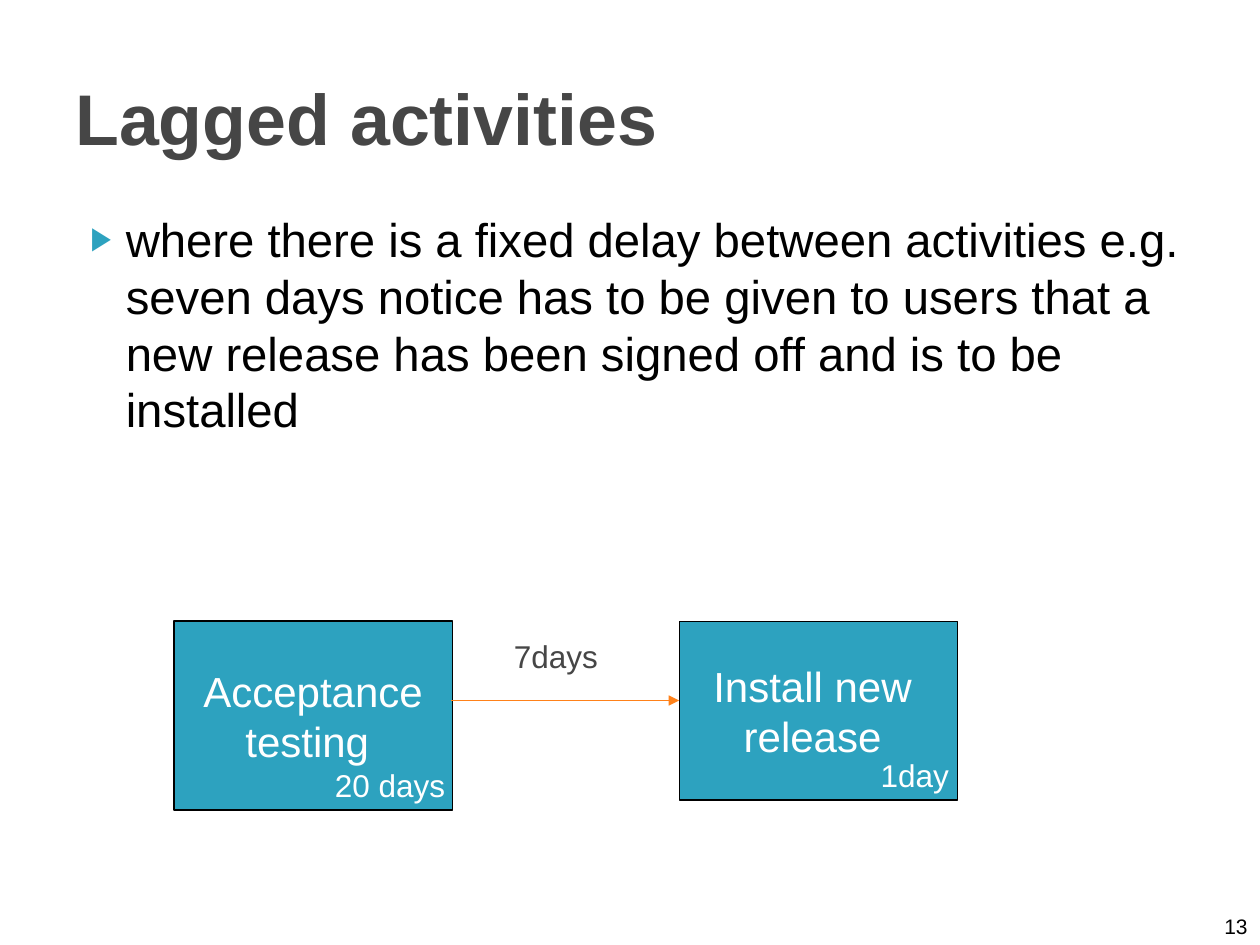
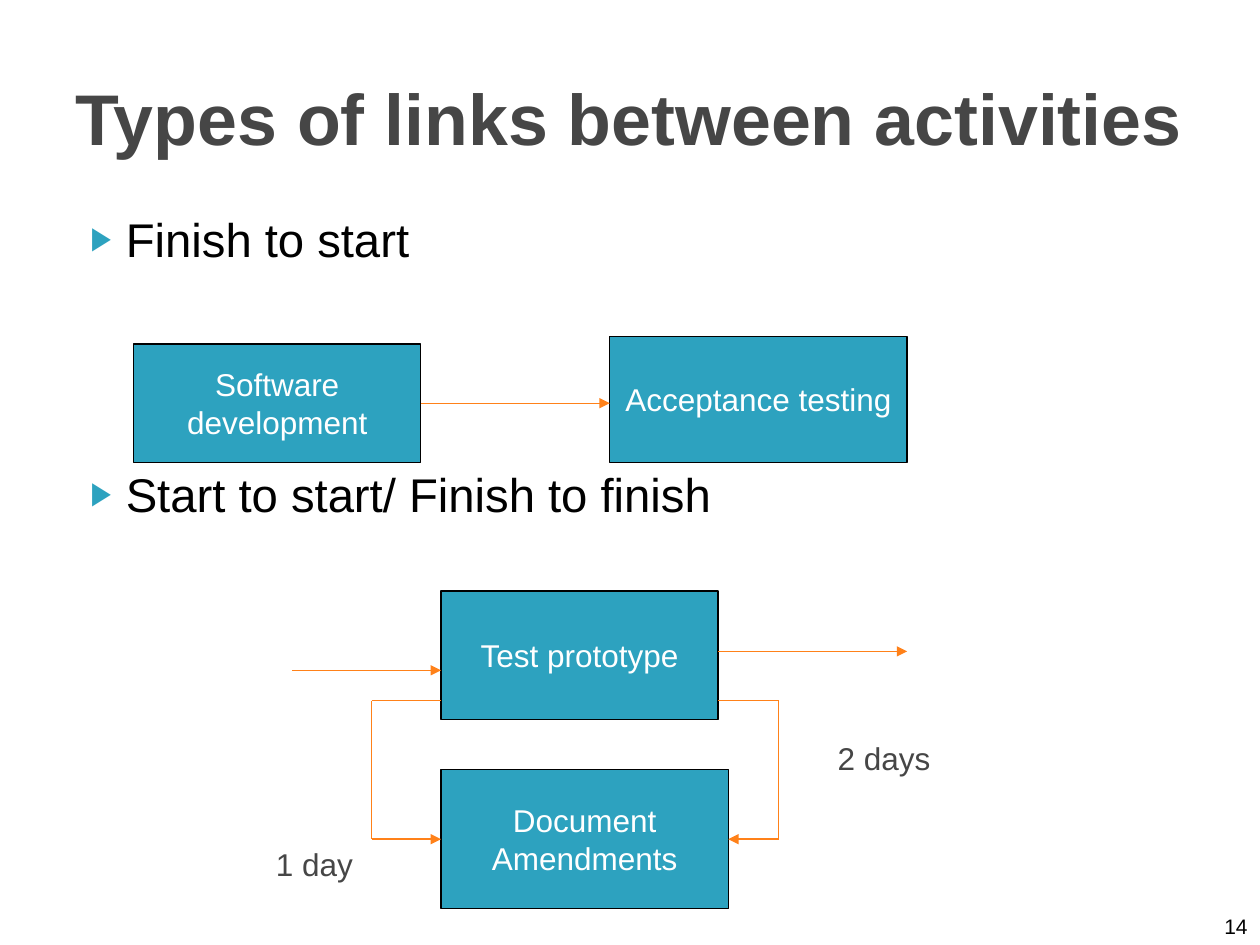
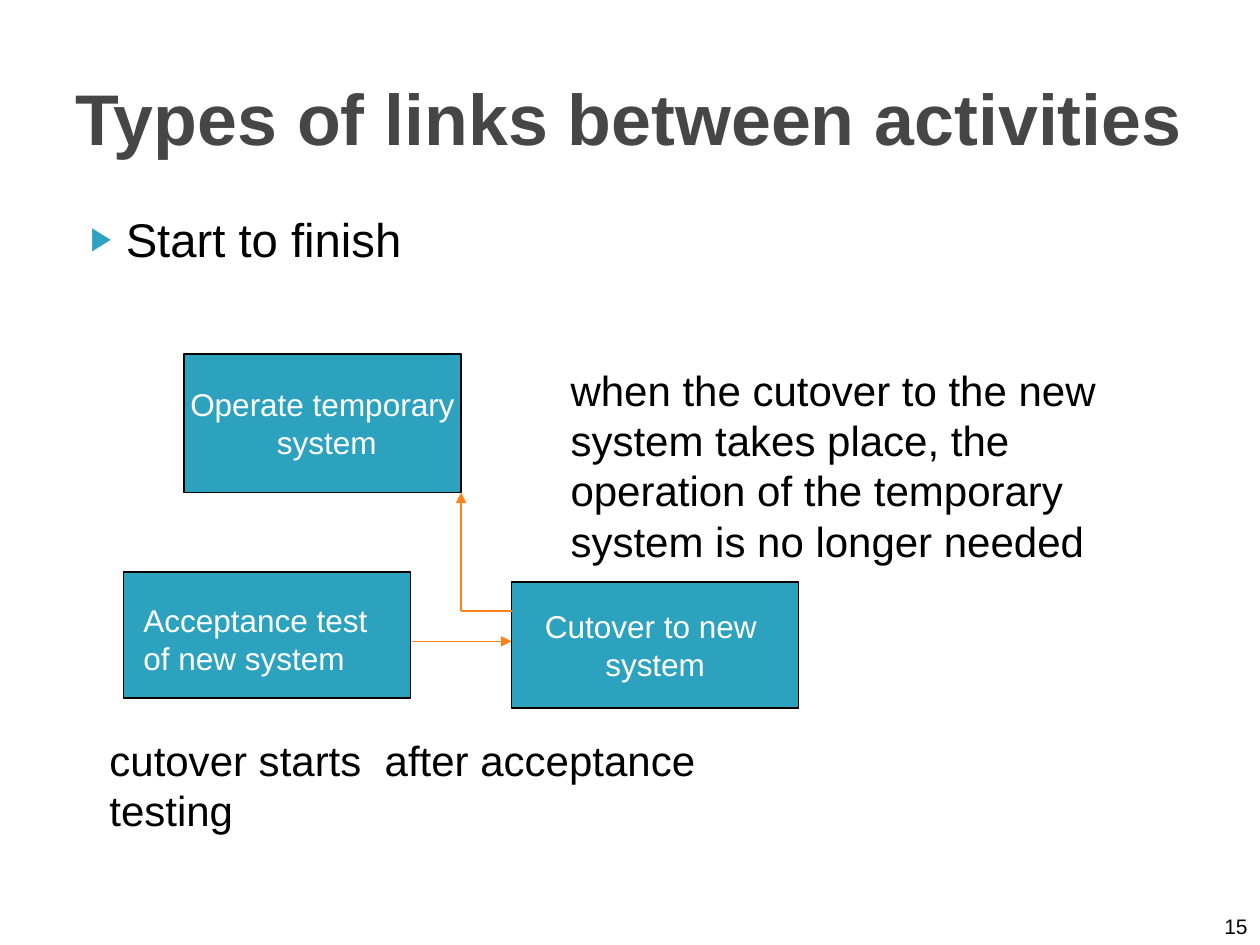
from itertools import pairwise

from pptx import Presentation
from pptx.dml.color import RGBColor
from pptx.enum.shapes import MSO_CONNECTOR, MSO_SHAPE
from pptx.enum.text import MSO_ANCHOR, MSO_AUTO_SIZE, PP_ALIGN
from pptx.oxml.ns import qn
from pptx.util import Inches, Pt

# Shared look
TEAL = RGBColor(0x2D, 0xA2, 0xBF)
ORANGE = RGBColor(0xFF, 0x81, 0x19)
GREY = RGBColor(0x46, 0x46, 0x46)
BLACK = RGBColor(0, 0, 0)
WHITE = RGBColor(255, 255, 255)
FONT = "Arial"
LINE_WIDTH = Pt(0.75)

# Grid of 100 columns by 75 rows; places are (column, row, columns, rows)
COLUMNS, ROWS = 100, 75
CELL = Inches(0.1)
TITLE_PLACE = (5, 3, 90, 12.5)
BODY_PLACE = (5, 16.2, 90, 49.5)
NUMBER_PLACE = (93.9, 71, 6.1, 4)
FIRST_NUMBER = 13
GLUE_REACH = 0.15  # cells between a route's end and the side it joins

LINKS_TITLE = "Types of links between activities"

# bullets: (text, points before); boxes: (place, lines, size)
# routes: (points, has arrow at the end); labels: (place, lines, size, colour, wraps)
SLIDES = [
    {
        "title": "Lagged activities",
        "bullets": [("where there is a fixed delay between activities e.g. seven days "
                     "notice has to be given to users that a new release has been "
                     "signed off and is to be installed", 4)],
        "boxes": [
            ((13.8, 49.3, 22.1, 15), ["Acceptance", "testing "], 24),
            ((53.9, 49.3, 22.1, 14.2), ["Install new ", "release "], 24),
        ],
        "routes": [[(35.8, 55.6), (53.9, 55.6)]],
        "labels": [
            ((39.8, 50.1, 8.7, 4), ["7days"], 18, GREY, False),
            ((25.6, 60.3, 10.8, 4), ["20 days"], 18, WHITE, False),
            ((68.9, 59.5, 7.4, 4), ["1day"], 18, WHITE, False),
        ],
    },
    {
        "title": LINKS_TITLE,
        "bullets": [("Finish to start", 4), ("Start to start/ Finish to finish", 113)],
        "boxes": [
            ((10.6, 27.3, 22.8, 9.4), ["Software", "development"], 18),
            ((48.4, 26.7, 23.6, 10), ["Acceptance testing"], 18),
            ((35, 46.9, 22, 10.2), ["Test prototype"], 18),
            ((35, 61.1, 22.8, 11), ["Document", "Amendments"], 18),
        ],
        "routes": [
            [(33.4, 32), (48.4, 32)],
            [(23.2, 53.2), (35, 53.2)],
            [(35, 55.6), (29.5, 55.6), (29.5, 66.6), (35, 66.6)],
            [(57, 55.6), (61.8, 55.6), (61.8, 66.6), (57.8, 66.6)],
            [(57, 51.7), (72, 51.7)],
        ],
        "labels": [
            ((20.9, 66.6, 8.1, 4), ["1 day"], 18, GREY, False),
            ((65.5, 58.2, 9.4, 4), ["2 days"], 18, GREY, False),
        ],
    },
    {
        "title": LINKS_TITLE,
        "bullets": [("Start to finish", 4)],
        "boxes": [
            ((14.6, 28.1, 22, 11), ["Operate temporary", " system"], 18),
            ((9.8, 45.4, 22.8, 10), [], 18),
            ((40.6, 46.2, 22.8, 10), ["Cutover to new ", "system"], 18),
        ],
        "routes": [
            [(32.7, 50.9), (40.6, 50.9)],
            [(40.6, 48.5), (36.6, 48.5), (36.6, 39.1)],
        ],
        "labels": [
            ((10.4, 47.2, 19.8, 7), ["Acceptance test", "of new system"], 18, WHITE, False),
            ((44.3, 28.4, 50, 17.2), ["when the cutover to the new system takes place, the "
                                      "operation of the temporary system is no longer "
                                      "needed"], 24, BLACK, True),
            ((7.7, 57.8, 50, 9.1), ["cutover starts  after acceptance testing"],
             24, BLACK, True),
        ],
    },
]


def cells(values):
    return [round(value * CELL) for value in values]


def write(frame, lines, size, color, align=PP_ALIGN.LEFT, bold=False, **frame_format):
    """Fill a text frame, one paragraph a line, and return the paragraphs."""
    for name, value in frame_format.items():
        setattr(frame, name, value)
    for index, line in enumerate(lines):
        paragraph = frame.add_paragraph() if index else frame.paragraphs[0]
        paragraph.alignment = align
        run = paragraph.add_run()
        run.text = line
        for name, value in {"name": FONT, "size": Pt(size), "bold": bold}.items():
            setattr(run.font, name, value)
        run.font.color.rgb = color
    return frame.paragraphs


def add_text(slide, place, lines, size, color, **text_format):
    frame = slide.shapes.add_textbox(*cells(place)).text_frame
    return write(frame, lines, size, color, **{"word_wrap": True, **text_format})


def add_bullets(slide, bullets):
    paragraphs = add_text(slide, BODY_PLACE, [text for text, _ in bullets], 27, BLACK)
    for paragraph, (_, before) in zip(paragraphs, bullets):
        paragraph.space_before = Pt(before)
        properties = paragraph._p.get_or_add_pPr()
        properties.set("marL", str(Inches(0.4)))
        properties.set("indent", str(Inches(-0.28)))
        color = properties.makeelement(qn("a:buClr"), {})
        color.append(color.makeelement(qn("a:srgbClr"), {"val": str(TEAL)}))
        properties.append(color)
        for tag, attributes in (("a:buSzPct", {"val": "68000"}),
                                ("a:buFont", {"typeface": FONT}),
                                ("a:buChar", {"char": "▶"})):
            properties.append(properties.makeelement(qn(tag), attributes))


def add_box(slide, place, lines, size):
    box = slide.shapes.add_shape(MSO_SHAPE.RECTANGLE, *cells(place))
    box.shadow.inherit = False
    box.fill.solid()
    box.fill.fore_color.rgb = TEAL
    box.line.color.rgb = BLACK
    box.line.width = LINE_WIDTH
    write(box.text_frame, lines, size, WHITE, PP_ALIGN.CENTER,
          word_wrap=False, vertical_anchor=MSO_ANCHOR.MIDDLE)
    return box


def find_side(point, boxes):
    """Return the box and side whose middle lies at the point, if any."""
    x, y = cells(point)
    reach = GLUE_REACH * CELL
    for box in boxes:
        middle_x, middle_y = box.left + box.width / 2, box.top + box.height / 2
        sides = [(middle_x, box.top), (box.left, middle_y),
                 (middle_x, box.top + box.height), (box.left + box.width, middle_y)]
        for side, (side_x, side_y) in enumerate(sides):
            if abs(x - side_x) < reach and abs(y - side_y) < reach:
                return box, side
    return None


def add_route(slide, points, boxes):
    """Draw straight legs through the points, with an arrowhead on the last."""
    for start, end in pairwise(points):
        leg = slide.shapes.add_connector(MSO_CONNECTOR.STRAIGHT, *cells(start + end))
        leg.line.color.rgb = ORANGE
        leg.line.width = LINE_WIDTH
        for point, connect in ((start, leg.begin_connect), (end, leg.end_connect)):
            joint = find_side(point, boxes)
            if joint:
                connect(*joint)
        if end == points[-1]:
            line = leg.line._get_or_add_ln()
            line.append(line.makeelement(qn("a:tailEnd"), {"type": "triangle"}))
        properties = leg._element.spPr
        properties.append(properties.makeelement(qn("a:effectLst"), {}))


def build_slide(presentation, content, number):
    slide = presentation.slides.add_slide(presentation.slide_layouts[6])
    # Title, bullets and slide number
    add_bullets(slide, content["bullets"])
    add_text(slide, TITLE_PLACE, [content["title"]], 41, GREY, bold=True,
             vertical_anchor=MSO_ANCHOR.MIDDLE)
    add_text(slide, NUMBER_PLACE, [str(number)], 12, BLACK, align=PP_ALIGN.RIGHT,
             vertical_anchor=MSO_ANCHOR.BOTTOM)
    # Activity diagram
    boxes = [add_box(slide, *box) for box in content["boxes"]]
    for points in content["routes"]:
        add_route(slide, points, boxes)
    for place, lines, size, color, wraps in content["labels"]:
        add_text(slide, place, lines, size, color, word_wrap=wraps,
                 auto_size=MSO_AUTO_SIZE.SHAPE_TO_FIT_TEXT)


def main():
    presentation = Presentation()
    presentation.slide_width, presentation.slide_height = COLUMNS * CELL, ROWS * CELL
    for number, content in enumerate(SLIDES, FIRST_NUMBER):
        build_slide(presentation, content, number)
    presentation.save("out.pptx")


if __name__ == "__main__":
    main()
